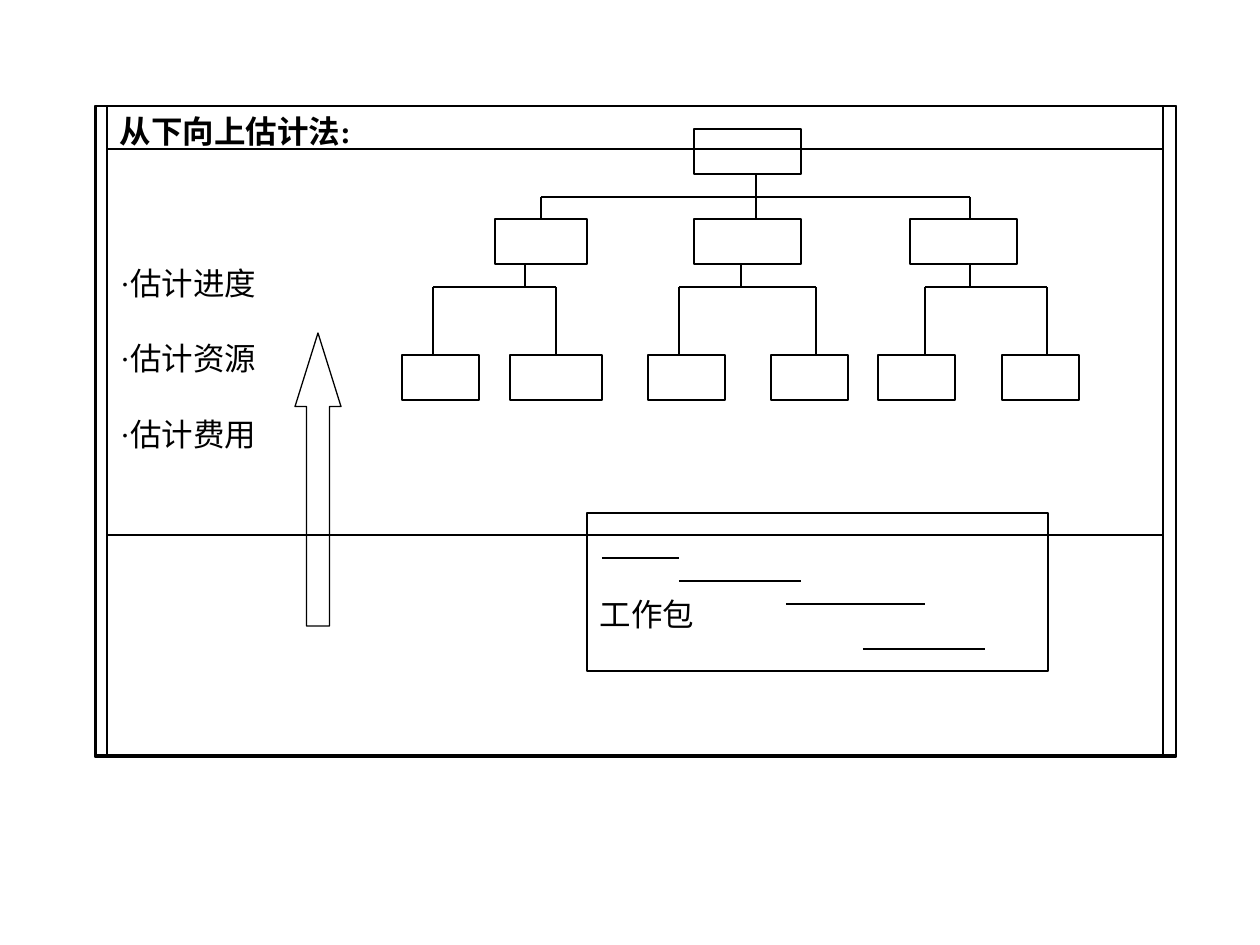
from dataclasses import dataclass

from lxml import etree
from pptx import Presentation
from pptx.dml.color import RGBColor
from pptx.enum import shapes, text
from pptx.oxml import ns
from pptx.util import Emu, Pt

PX = 914400 // 126


@dataclass(frozen=True)
class Theme:
    ink: RGBColor = RGBColor(0, 0, 0)
    font: str = "Times New Roman"
    size: float = 18
    stroke: float = 0.75
    hairline: float = 0


THEME = Theme()
ROOT = (694, 107)
BRANCHES = [(495, 92), (694, 107), (910, 107)]
LEAVES = [(402, 77), (510, 92), (648, 77), (771, 77), (878, 77), (1002, 77)]
ROOT_TOP, BRANCH_TOP, LEAF_TOP, NODE_HEIGHT = 129, 219, 355, 45
FORKS = [(525, 433, 556), (741, 679, 816), (970, 925, 1047)]
TASK_BARS = [(602, 679, 558), (679, 801, 581), (786, 925, 604), (863, 985, 649)]
FRAMES = [
    (107, 149, 1056, 607, THEME.stroke),
    (96, 106, 1080, 649, THEME.hairline),
    (95, 106, 1081, 651, THEME.stroke),
]
STEPS = [
    ("从下向上估计法:", True, 0),
    ("·估计进度", False, 65),
    ("·估计资源", False, 21.6),
    ("·估计费用", False, 21.6),
]


def px(*values):
    return [Emu(value * PX) for value in values]


def set_all(target, values):
    for name, value in values.items():
        setattr(target, name, value)


def add_outline(page, left, top, width, height,
                kind=shapes.MSO_SHAPE.RECTANGLE, stroke=THEME.stroke):
    box = page.shapes.add_shape(kind, *px(left, top, width, height))
    box.shadow.inherit = False
    box.fill.background()
    box.line.color.rgb = THEME.ink
    box.line.width = Pt(stroke)
    return box


def add_line(page, x1, y1, x2, y2):
    line = page.shapes.add_connector(
        shapes.MSO_CONNECTOR.STRAIGHT, *px(x1, y1, x2, y2))
    line.line.color.rgb = THEME.ink
    line.line.width = Pt(THEME.stroke)
    etree.SubElement(line._element.spPr, ns.qn("a:effectLst"))


def write(box, lines, align, inset_top=6):
    frame = box.text_frame
    left, top, right, bottom = px(13, inset_top, 13, 6)
    set_all(frame, {
        "word_wrap": True,
        "vertical_anchor": text.MSO_ANCHOR.TOP,
        "margin_left": left,
        "margin_top": top,
        "margin_right": right,
        "margin_bottom": bottom,
    })
    for index, (words, bold, gap) in enumerate(lines):
        para = frame.add_paragraph() if index else frame.paragraphs[0]
        para.alignment = align
        para.space_before = Pt(gap)
        span = para.add_run()
        span.text = words
        set_all(span.font, {
            "name": THEME.font, "size": Pt(THEME.size), "bold": bold})
        span.font.color.rgb = THEME.ink


def add_row(page, nodes, top):
    for left, width in nodes:
        add_outline(page, left, top, width, NODE_HEIGHT)


def add_fork(page, stem, first, last, top, bar, bottom):
    add_line(page, stem, top, stem, bar)
    add_line(page, first, bar, last, bar)
    for drop in (first, last):
        add_line(page, drop, bar, drop, bottom)


def add_tree(page):
    add_row(page, [ROOT], ROOT_TOP)
    add_row(page, BRANCHES, BRANCH_TOP)
    add_row(page, LEAVES, LEAF_TOP)
    add_fork(page, 756, 541, 970, ROOT_TOP + NODE_HEIGHT, 197, BRANCH_TOP)
    add_line(page, 756, 197, 756, BRANCH_TOP)
    for stem, first, last in FORKS:
        add_fork(page, stem, first, last,
                 BRANCH_TOP + NODE_HEIGHT, 287, LEAF_TOP)


def add_work_package(page):
    box = add_outline(page, 587, 513, 461, 158)
    write(box, [("工作包", False, 0)], text.PP_ALIGN.JUSTIFY, inset_top=82)
    for start, end, y in TASK_BARS:
        add_line(page, start, y, end, y)


def add_up_arrow(page):
    arrow = add_outline(page, 295, 333, 46, 293, shapes.MSO_SHAPE.UP_ARROW)
    arrow.adjustments[0] = 0.5
    arrow.adjustments[1] = 1.6


def main():
    deck = Presentation()
    deck.slide_width, deck.slide_height = px(1260, 945)
    page = deck.slides.add_slide(deck.slide_layouts[6])
    add_up_arrow(page)
    add_work_package(page)
    add_tree(page)
    steps = add_outline(page, 107, 106, 1056, 429)
    write(steps, STEPS, text.PP_ALIGN.LEFT)
    for left, top, width, height, stroke in FRAMES:
        add_outline(page, left, top, width, height, stroke=stroke)
    deck.save("out.pptx")


if __name__ == "__main__":
    main()
